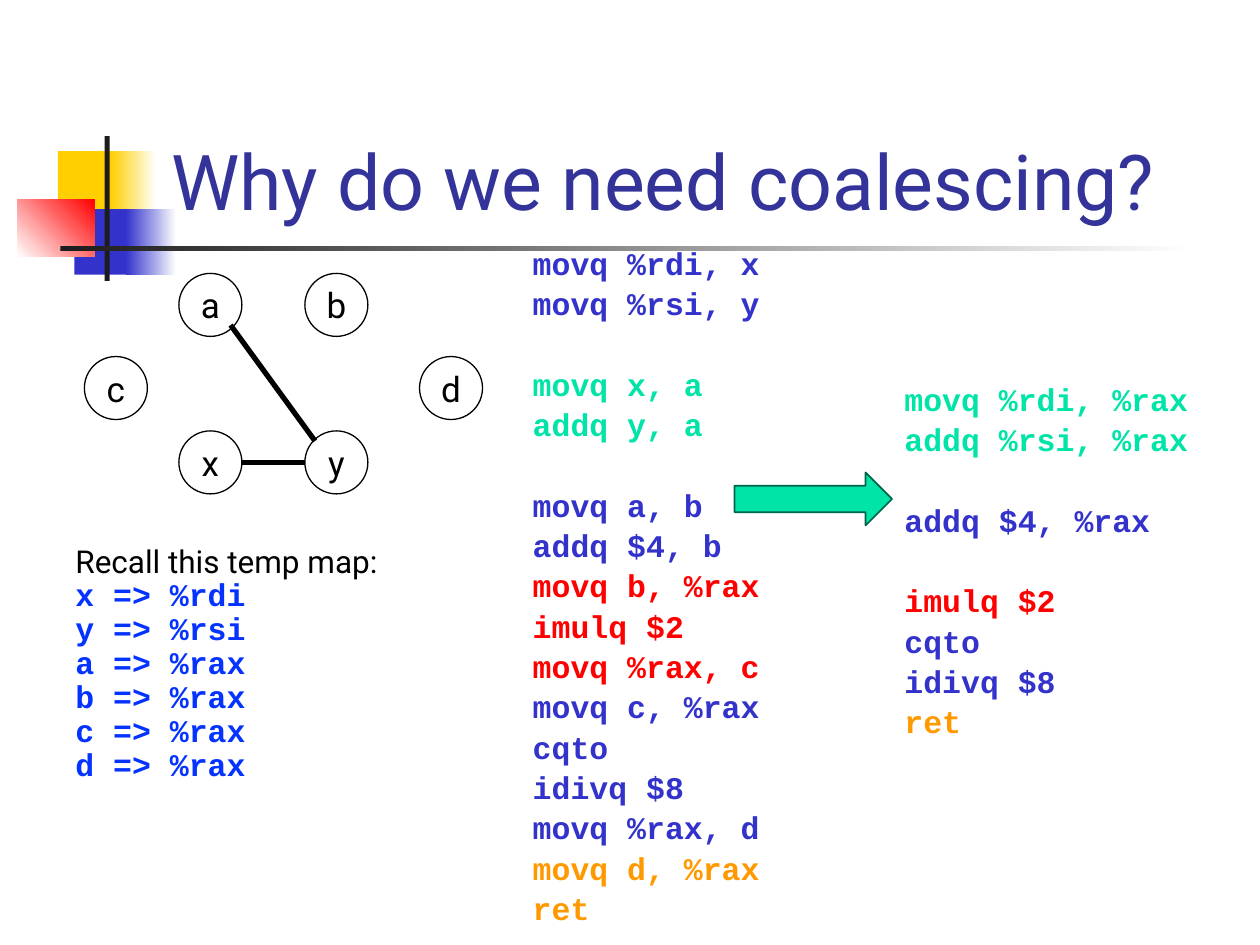
from lxml.etree import SubElement
from pptx import Presentation
from pptx.dml.color import RGBColor
from pptx.enum.shapes import MSO_CONNECTOR, MSO_SHAPE as Shape
from pptx.enum.text import MSO_ANCHOR as Anchor, MSO_AUTO_SIZE as AutoSize, PP_ALIGN as Align
from pptx.oxml.ns import qn
from pptx.util import Inches, Pt

SANS, MONO = "Roboto", "Courier New"
BLACK, WHITE, CHARCOAL = "000000", "FFFFFF", "1C1C1C"
NAVY, BLUE, BRIGHT_BLUE = "333399", "3333CC", "0432FF"
YELLOW, RED, ORANGE, GREEN, DARK_GREEN = "FFCF01", "FF0000", "FF9900", "00E4A8", "00644A"

# Left, top, width, height, colours (two make a gradient), gradient angle
DECORATION = [
    (0.46, 1.2, 0.48, 0.52, [YELLOW], 0),
    (0.88, 1.2, 0.36, 0.52, [YELLOW, WHITE], 0),
    (0.59, 1.66, 0.46, 0.52, [BLUE], 0),
    (1, 1.66, 0.4, 0.52, [BLUE, WHITE], 0),
    (0.14, 1.58, 0.61, 0.46, [WHITE, RED], 45),
    (0.83, 1.08, 0.04, 1.15, [CHARCOAL], 0),
    (0.48, 1.95, 9, 0.04, [CHARCOAL, WHITE], 0),
]
NODE_SIZE = 0.5
NODES = {"a": (1.42, 2.17), "b": (2.42, 2.17), "c": (0.67, 2.83),
         "d": (3.33, 2.83), "x": (1.42, 3.42), "y": (2.42, 3.42)}
INTERFERENCES = [((1.92, 3.67), (2.42, 3.67)), ((1.83, 2.58), (2.5, 3.5))]

TEMP_MAP = {"x": "%rdi", "y": "%rsi", "a": "%rax", "b": "%rax", "c": "%rax", "d": "%rax"}

# Groups of instructions, set apart by a gap; each run of lines has one colour
ORIGINAL_CODE = [
    [(BLUE, ["movq %rdi, x", "movq %rsi, y"])],
    [(GREEN, ["movq x, a", "addq y, a"])],
    [(BLUE, ["movq a, b", "addq $4, b"]),
     (RED, ["movq b, %rax", "imulq $2", "movq %rax, c"]),
     (BLUE, ["movq c, %rax", "cqto", "idivq $8", "movq %rax, d"]),
     (ORANGE, ["movq d, %rax", "ret"])],
]
COALESCED_CODE = [
    [(GREEN, ["movq %rdi, %rax", "addq %rsi, %rax"])],
    [(BLUE, ["addq $4, %rax"])],
    [(RED, ["imulq $2"]), (BLUE, ["cqto", "idivq $8"]), (ORANGE, ["ret"])],
]
LINE_GAP, GROUP_GAP = 3.6, 26.6


def rgb(color):
    return RGBColor.from_string(color)


def add_run(paragraph, text, color, size=18, font=SANS, bold=False):
    run = paragraph.add_run()
    run.text = text
    run.font.name, run.font.size, run.font.bold = font, Pt(size), bold
    run.font.color.rgb = rgb(color)


def add_figure(slide, kind, left, top, width, height, colors=(), angle=0, outline=None, weight=1):
    figure = slide.shapes.add_shape(kind, Inches(left), Inches(top), Inches(width), Inches(height))
    figure.shadow.inherit = False
    if len(colors) > 1:
        figure.fill.gradient()
        figure.fill.gradient_angle = angle
        for stop, color in zip(figure.fill.gradient_stops, colors):
            stop.color.rgb = rgb(color)
    elif colors:
        figure.fill.solid()
        figure.fill.fore_color.rgb = rgb(colors[0])
    else:
        figure.fill.background()
    if outline:
        figure.line.color.rgb = rgb(outline)
        figure.line.width = Pt(weight)
    else:
        figure.line.fill.background()
    return figure


def add_title(slide, text):
    title = slide.shapes.title
    title.left, title.top = Inches(1.26), Inches(0.24)
    title.width, title.height = Inches(8.52), Inches(1.6)
    frame = title.text_frame
    frame.auto_size = AutoSize.NONE
    frame.vertical_anchor = Anchor.BOTTOM
    frame.paragraphs[0].alignment = Align.LEFT
    add_run(frame.paragraphs[0], text, NAVY, 44)


def add_node(slide, name, left, top):
    node = add_figure(slide, Shape.OVAL, left, top, NODE_SIZE, NODE_SIZE,
                      outline=BLACK, weight=0.75)
    frame = node.text_frame
    frame.word_wrap = False
    frame.vertical_anchor = Anchor.MIDDLE
    frame.paragraphs[0].alignment = Align.CENTER
    add_run(frame.paragraphs[0], name, BLACK, 20)


def add_edge(slide, start, end):
    edge = slide.shapes.add_connector(MSO_CONNECTOR.STRAIGHT, *map(Inches, start + end))
    edge.line.color.rgb = rgb(BLACK)
    edge.line.width = Pt(3)
    SubElement(edge._element.spPr, qn("a:effectLst"))


def add_text_frame(slide, left, top, width, height):
    box = slide.shapes.add_textbox(Inches(left), Inches(top), Inches(width), Inches(height))
    box.text_frame.word_wrap = True
    return box.text_frame


def add_code_line(paragraph, text, color, gap=0):
    paragraph.line_spacing = 0.9
    paragraph.space_before = Pt(gap)
    add_run(paragraph, text, color, font=MONO, bold=True)


def add_code(slide, left, top, width, height, groups):
    frame = add_text_frame(slide, left, top, width, height)
    paragraph = frame.paragraphs[0]
    gap = LINE_GAP
    for group in groups:
        for color, instructions in group:
            for instruction in instructions:
                add_code_line(paragraph or frame.add_paragraph(), instruction, color, gap)
                paragraph, gap = None, LINE_GAP
        gap = GROUP_GAP


def add_temp_map(slide):
    frame = add_text_frame(slide, 0.5, 4.25, 2.83, 2.05)
    add_run(frame.paragraphs[0], "Recall this temp map:", BLACK)
    for temp, register in TEMP_MAP.items():
        add_code_line(frame.add_paragraph(), f"{temp} => {register}", BRIGHT_BLUE)


def main():
    deck = Presentation()
    deck.slide_width, deck.slide_height = Inches(10), Inches(7.5)
    slide = deck.slides.add_slide(deck.slide_layouts[5])

    for left, top, width, height, colors, angle in DECORATION:
        add_figure(slide, Shape.RECTANGLE, left, top, width, height, colors, angle)
    add_title(slide, "Why do we need coalescing?")

    for name, (left, top) in NODES.items():
        add_node(slide, name, left, top)
    for start, end in INTERFERENCES:
        add_edge(slide, start, end)
    add_temp_map(slide)

    add_code(slide, 4.13, 1.92, 2.87, 5.02, ORIGINAL_CODE)
    add_code(slide, 7.08, 3, 2.83, 4.02, COALESCED_CODE)
    add_figure(slide, Shape.RIGHT_ARROW, 5.83, 3.75, 1.25, 0.42, [GREEN], outline=DARK_GREEN)

    deck.save("out.pptx")


if __name__ == "__main__":
    main()
